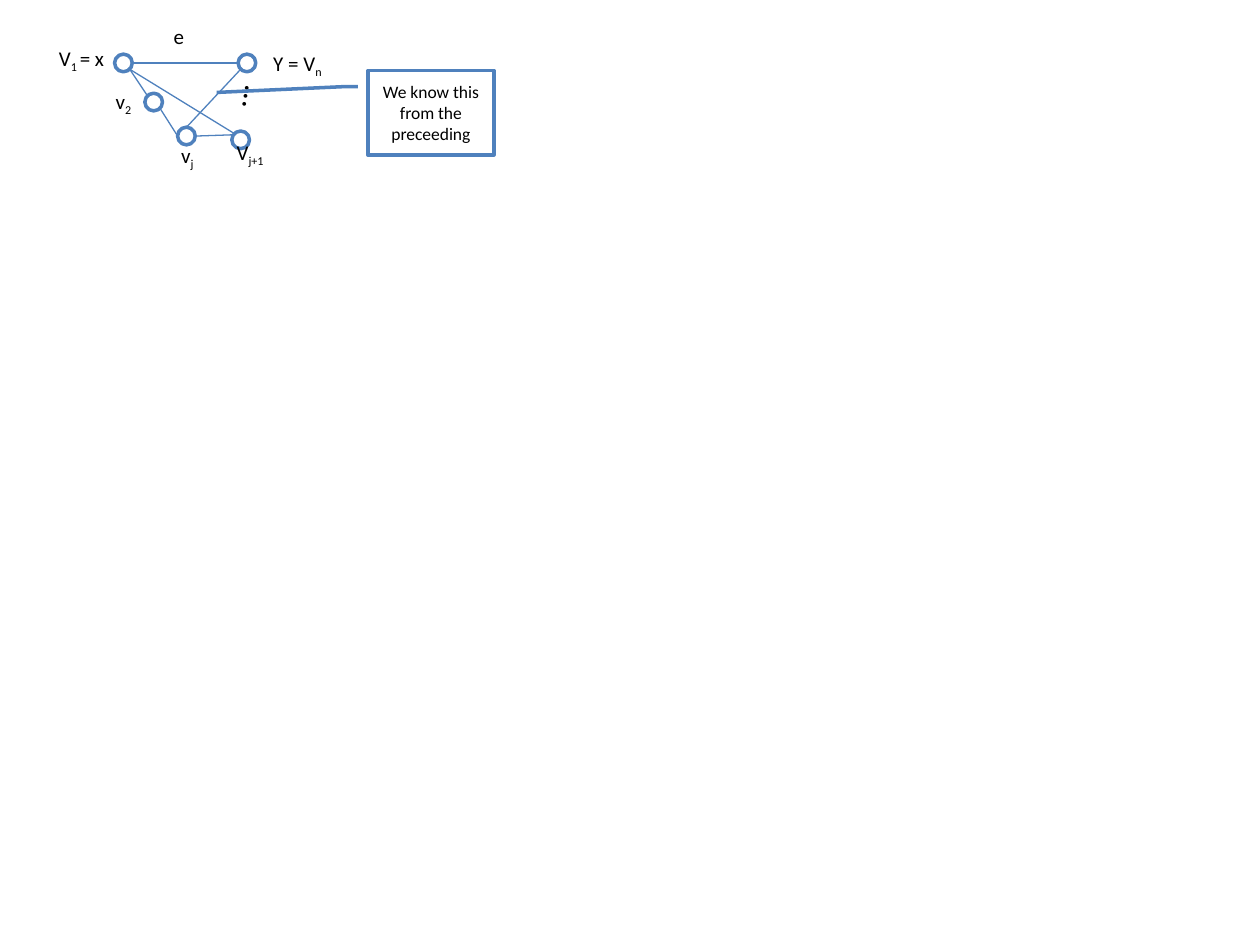
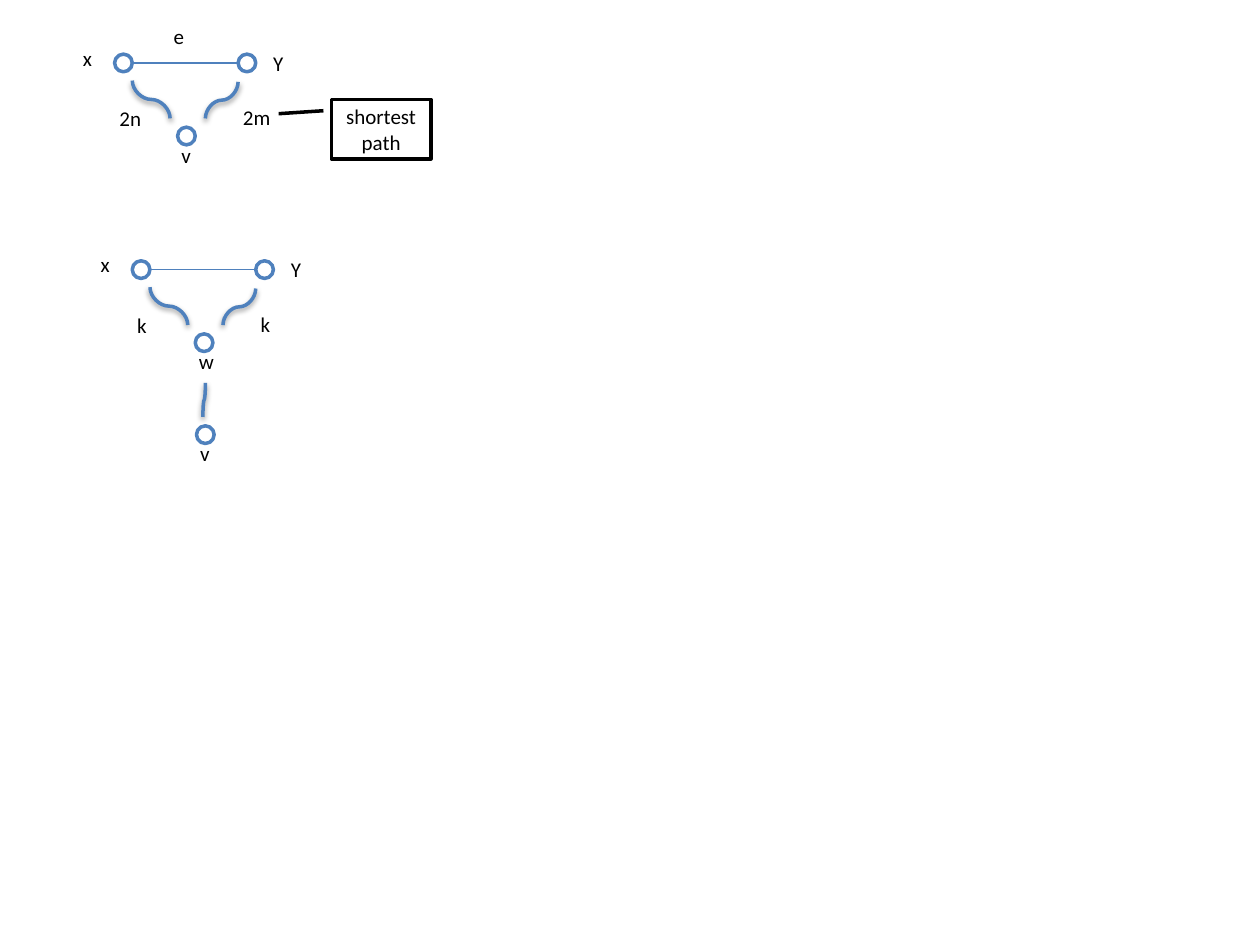
import pptx
import pptx.util
import pptx.dml.color
import pptx.enum.shapes
import pptx.enum.text
import pptx.oxml
import pptx.oxml.ns

Inches, Pt = pptx.util.Inches, pptx.util.Pt
RGBColor = pptx.dml.color.RGBColor
MSO_SHAPE = pptx.enum.shapes.MSO_SHAPE
MSO_CONNECTOR = pptx.enum.shapes.MSO_CONNECTOR

# Shared look
BLUE = RGBColor(0x4F, 0x81, 0xBD)
BLACK = RGBColor(0, 0, 0)
WHITE = RGBColor(0xFF, 0xFF, 0xFF)
FONT = "Calibri"
LABEL_SIZE = 12
LABEL_HEIGHT = 0.3
RADIUS = 0.07
THIN, THICK = 0.75, 2

# Points on a node's rim, in radii from its centre
SITES = {
    "top": (0, -1), "left": (-1, 0), "right": (1, 0),
    "upper left": (-0.71, -0.71), "lower left": (-0.71, 0.71),
    "lower right": (0.71, 0.71), "left shoulder": (-1, -0.57),
}

# Triangle corners and the first edge, shared by every graph
CORNERS = {"x": (0.98, 0.5), "y": (1.96, 0.5), "bottom": (1.48, 1.08)}
TOP_EDGE = ("x", "right", "y", "left")

# Slide 1: cycle through v1 ... vn
CYCLE_NODES = {**CORNERS, "v2": (1.22, 0.81), "next": (1.91, 1.11)}
CYCLE_EDGES = [
    TOP_EDGE,
    ("v2", "upper left", "x", "lower right"),
    ("bottom", "left", "v2", "lower right"),
    ("next", "left shoulder", "bottom", "right"),
    ("x", "lower right", "next", "upper left"),
    ("bottom", "top", "y", "lower left"),
]
# Labels: left, top, width, then text and subscript in turn
CYCLE_LABELS = [
    (1.28, 0.14, 0.29, ["e"]),
    (0.37, 0.31, 0.57, ["V", "1 ", "= x"]),
    (0.82, 0.65, 0.33, ["v", "2"]),
    (1.34, 1.08, 0.3, ["v", "j"]),
    (2.07, 0.35, 0.61, ["Y = V", "n"]),
    (1.78, 1.06, 0.44, ["V", "j+1"]),
]
DOTS = (1.67, 0.55, 0.39, ["..."])
CYCLE_CALLOUT = dict(
    kind=MSO_SHAPE.LINE_CALLOUT_2, box=(2.92, 0.56, 1, 0.67), color=BLUE, size=10,
    pointer=(0.19, -0.08, 0.19, -0.17, 0.26, -1.2),
    text="We know this from the preceeding")

# Slide 2: two triangles whose lower sides are wavy paths
WAVES = [((1.35, 0.94), (1.05, 0.64)), ((1.63, 0.94), (1.89, 0.65))]
TRIANGLES = [  # shift, left path, right path, bottom node
    ((0, 0), "2n", "2m", "v"),
    ((0.14, 1.64), "k", "k", "w"),
]
EDGE_NAME = (1.28, 0.14, 0.29, ["e"])
TAIL_NODE = (1.63, 3.45)
TAIL_WAVE = ((1.61, 3.31), (1.63, 3.04))
TAIL_LABEL = (1.49, 3.45, 0.29, ["v"])
PATH_CALLOUT = dict(
    kind=MSO_SHAPE.LINE_CALLOUT_1, box=(2.63, 0.79, 0.79, 0.47), color=BLACK, size=12,
    pointer=(0.19, -0.08, 0.24, -0.53), text="shortest path")

SHADOW = (
    '<a:outerShdw blurRad="39370" dist="20320" dir="5400000" rotWithShape="0">'
    '<a:srgbClr val="000000"><a:alpha val="38000"/></a:srgbClr></a:outerShdw>')


def moved(point, shift):
    return point[0] + shift[0], point[1] + shift[1]


def add_run(paragraph, text, size, subscript=False):
    run = paragraph.add_run()
    run.text = text
    run.font.name, run.font.size = FONT, Pt(size)
    run.font.color.rgb = BLACK
    if subscript:
        run.font._element.set("baseline", "-25000")


def add_label(slide, left, top, width, parts, size=LABEL_SIZE, height=LABEL_HEIGHT):
    box = slide.shapes.add_textbox(*map(Inches, (left, top, width, height)))
    box.text_frame.word_wrap = False
    box.text_frame.auto_size = pptx.enum.text.MSO_AUTO_SIZE.SHAPE_TO_FIT_TEXT
    for index, text in enumerate(parts):
        add_run(box.text_frame.paragraphs[0], text, size, index % 2 == 1)
    return box


def add_outlined(slide, kind, box, color):
    shape = slide.shapes.add_shape(kind, *map(Inches, box))
    shape.shadow.inherit = False
    shape.fill.solid()
    shape.fill.fore_color.rgb = WHITE
    shape.line.color.rgb = color
    shape.line.width = Pt(THICK)
    return shape


def add_node(slide, center):
    left, top = moved(center, (-RADIUS, -RADIUS))
    add_outlined(slide, MSO_SHAPE.OVAL, (left, top, 2 * RADIUS, 2 * RADIUS), BLUE)


def add_callout(slide, kind, box, color, size, pointer, text):
    shape = add_outlined(slide, kind, box, color)
    for index, value in enumerate(pointer):
        shape.adjustments[index] = value
    frame = shape.text_frame
    frame.word_wrap = True
    frame.vertical_anchor = pptx.enum.text.MSO_ANCHOR.MIDDLE
    frame.paragraphs[0].alignment = pptx.enum.text.PP_ALIGN.CENTER
    add_run(frame.paragraphs[0], text, size)


def add_line(slide, kind, start, end, width, effect=""):
    line = slide.shapes.add_connector(kind, *map(Inches, (*start, *end)))
    line.line.color.rgb = BLUE
    line.line.width = Pt(width)
    line._element.spPr.append(pptx.oxml.parse_xml(
        f'<a:effectLst {pptx.oxml.ns.nsdecls("a")}>{effect}</a:effectLst>'))
    return line


def add_wave(slide, start, end):
    """Draw an S-curve that leaves vertically: a sideways curve, turned a quarter."""
    middle_x, middle_y = (start[0] + end[0]) / 2, (start[1] + end[1]) / 2
    turn = 1 if end[0] > start[0] else -1
    flat = [(middle_x + turn * (y - middle_y), middle_y - turn * (x - middle_x))
            for x, y in (start, end)]
    wave = add_line(slide, MSO_CONNECTOR.CURVE, *flat, THICK, SHADOW)
    wave._element.spPr.xfrm.set("rot", str(turn * 90 % 360 * 60000))


def add_graph(slide, nodes, edges, shift=(0, 0)):
    centers = {name: moved(center, shift) for name, center in nodes.items()}
    for first, first_site, second, second_site in edges:
        start, end = [
            moved(centers[name], [RADIUS * part for part in SITES[site]])
            for name, site in ((first, first_site), (second, second_site))]
        add_line(slide, MSO_CONNECTOR.STRAIGHT, start, end, THIN)
    for center in centers.values():
        add_node(slide, center)


def build_cycle(slide):
    add_graph(slide, CYCLE_NODES, CYCLE_EDGES)
    for label in CYCLE_LABELS:
        add_label(slide, *label)
    add_label(slide, *DOTS, size=18, height=0.4).rotation = 278.8
    add_callout(slide, **CYCLE_CALLOUT)


def build_paths(slide):
    for shift, left_path, right_path, bottom in TRIANGLES:
        add_graph(slide, CORNERS, [TOP_EDGE], shift)
        for start, end in WAVES:
            add_wave(slide, moved(start, shift), moved(end, shift))
        for left, top, width, text in [
                (0.56, 0.31, 0.29, "x"), (2.07, 0.35, 0.3, "Y"),
                (1.34, 1.08, 0.32 if bottom == "w" else 0.29, bottom),
                (0.85, 0.79, 0.14 + 0.13 * len(left_path), left_path),
                (1.83, 0.78, 0.14 + 0.14 * len(right_path), right_path)]:
            add_label(slide, *moved((left, top), shift), width, [text])
    add_label(slide, *EDGE_NAME)
    add_callout(slide, **PATH_CALLOUT)
    # Tail from w down to v
    add_node(slide, TAIL_NODE)
    add_wave(slide, *TAIL_WAVE)
    add_label(slide, *TAIL_LABEL)


def main():
    presentation = pptx.Presentation()
    presentation.slide_width, presentation.slide_height = Inches(10), Inches(7.5)
    blank = presentation.slide_layouts[6]
    for build in (build_cycle, build_paths):
        build(presentation.slides.add_slide(blank))
    presentation.save("out.pptx")


if __name__ == "__main__":
    main()
